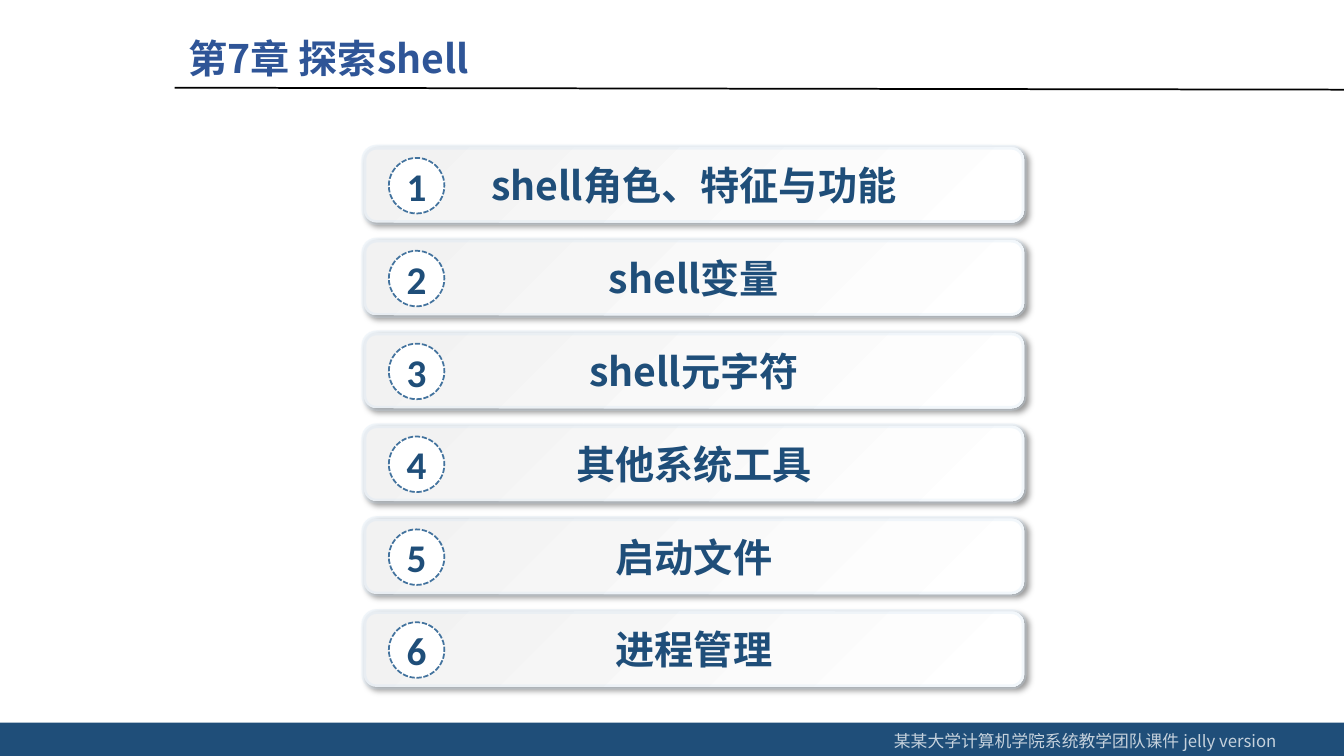
from lxml.etree import SubElement
from pptx import Presentation
from pptx.dml.color import RGBColor
from pptx.enum.dml import MSO_LINE_DASH_STYLE as Dash
from pptx.enum.shapes import MSO_CONNECTOR as Connector, MSO_SHAPE as Shape
from pptx.enum.text import MSO_ANCHOR as Anchor, PP_ALIGN as Align
from pptx.oxml.ns import qn
from pptx.util import Cm, Pt

COLORS = {
    "navy": "1F4E79",
    "title": "2F5597",
    "white": "FFFFFF",
    "grey": "F2F2F2",
    "border": "CEE1F2",
    "ring": "43739E",
    "black": "000000",
}
CHINESE = "Noto Sans CJK SC"
TOPICS = ["shell角色、特征与功能", "shell变量", "shell元字符",
          "其他系统工具", "启动文件", "进程管理"]


def color(name):
    return RGBColor.from_string(COLORS[name])


def write(box, text, size=28, font=CHINESE, tint="navy", bold=True,
          align=Align.CENTER, anchor=Anchor.MIDDLE, margin=0.25):
    frame = box.text_frame
    frame.word_wrap = True
    frame.vertical_anchor = anchor
    frame.margin_left = frame.margin_right = Cm(margin)
    frame.margin_top = frame.margin_bottom = Cm(margin / 2)
    para = frame.paragraphs[0]
    para.alignment = align
    span = para.add_run()
    span.text = text
    span.font.size, span.font.bold, span.font.name = Pt(size), bold, font
    span.font.color.rgb = color(tint)
    SubElement(span.font._element, qn("a:ea"), typeface=font)
    return span


deck = Presentation()
deck.slide_width, deck.slide_height = Cm(33.87), Cm(19.05)
page = deck.slides.add_slide(deck.slide_layouts[5])

# Footer band
band = page.shapes.add_shape(Shape.RECTANGLE, 0, Cm(18.21), Cm(33.87), Cm(0.84))
band.shadow.inherit = False
band.fill.solid()
band.fill.fore_color.rgb = color("navy")
band.line.fill.background()
credit = page.shapes.add_textbox(Cm(22.28), Cm(18.29), Cm(11.5), Cm(0.76))
span = write(credit, "某某大学计算机学院系统教学团队课件 jelly version", size=12,
             tint="white", bold=False, align=Align.LEFT, anchor=Anchor.TOP)
SubElement(span.font._element.find(".//" + qn("a:srgbClr")),
           qn("a:alpha"), val="75000")

# Title and rule
title = page.shapes.title
title.left, title.top, title.width, title.height = Cm(4.5), Cm(0.74), Cm(17.73), Cm(1.45)
write(title, "第7章 探索shell", tint="title", align=Align.LEFT, anchor=Anchor.TOP)
rule = page.shapes.add_connector(Connector.STRAIGHT, Cm(4.4), Cm(2.21), Cm(33.87), Cm(2.26))
rule.line.color.rgb = color("black")
rule.line.width = Pt(1.25)
SubElement(rule._element.spPr, qn("a:effectLst"))

# Topic bars with numbered badges
for index, topic in enumerate(TOPICS):
    top = 3.71 + index * 2.34

    bar = page.shapes.add_shape(Shape.ROUNDED_RECTANGLE, Cm(9.17), Cm(top), Cm(16.64), Cm(1.9))
    bar.fill.gradient()
    bar.fill.gradient_angle = 315
    for stop, tint in zip(bar.fill.gradient_stops, ("grey", "white")):
        stop.color.rgb = color(tint)
    bar.line.color.rgb = color("border")
    bar.line.width = Pt(3.5)
    edge = bar.line._ln.find(".//" + qn("a:srgbClr"))
    SubElement(edge, qn("a:alpha"), val="25000")

    bar.shadow.inherit = False
    effects = bar._element.spPr.find(qn("a:effectLst"))
    shadow = SubElement(effects, qn("a:outerShdw"), blurRad=str(Pt(4)), dist=str(Pt(3)),
                        dir="2700000", algn="tl", rotWithShape="0")
    shade = SubElement(shadow, qn("a:srgbClr"), val=COLORS["black"])
    SubElement(shade, qn("a:alpha"), val="40000")
    write(bar, topic)

    badge = page.shapes.add_shape(Shape.OVAL, Cm(9.8), Cm(top + 0.27), Cm(1.4), Cm(1.4))
    badge.shadow.inherit = False
    badge.fill.solid()
    badge.fill.fore_color.rgb = color("white")
    badge.line.color.rgb = color("ring")
    badge.line.width = Pt(1.25)
    badge.line.dash_style = Dash.SQUARE_DOT
    write(badge, str(index + 1), font="Calibri", margin=0)

deck.save("out.pptx")
